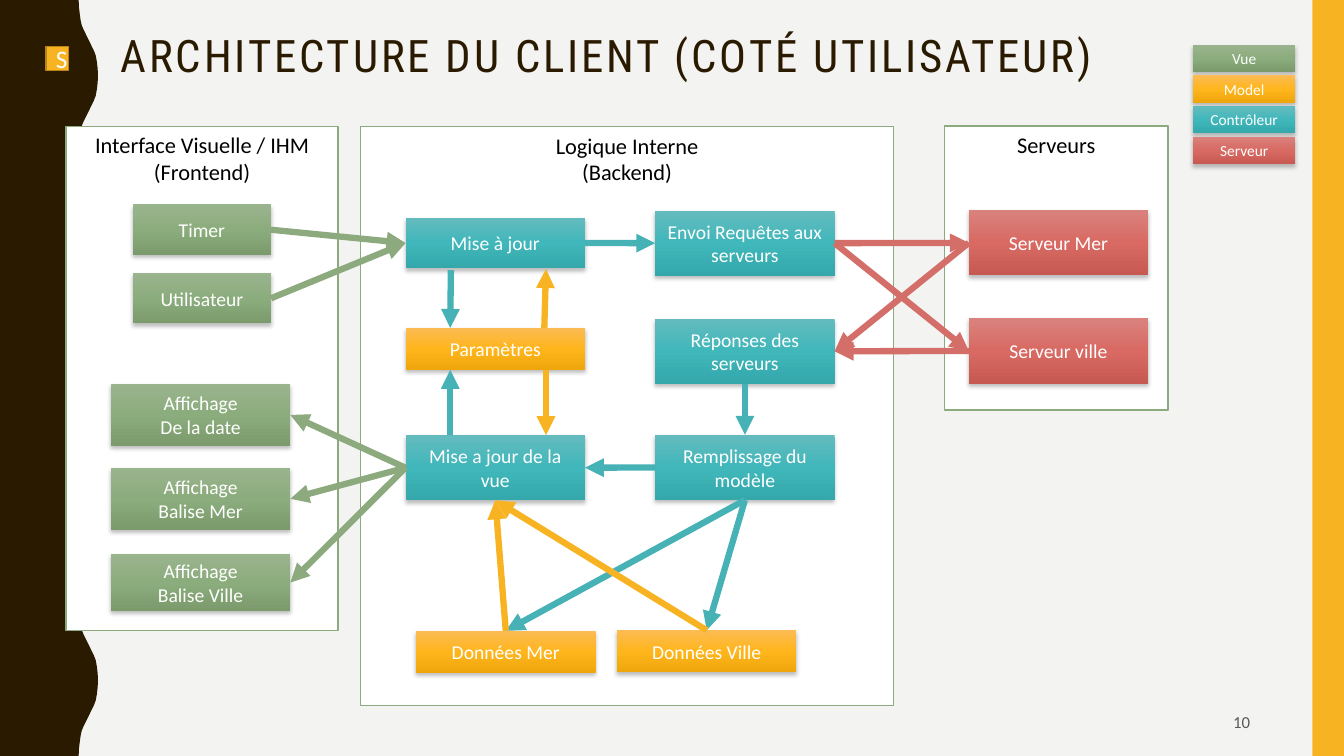
import copy
import pptx
import pptx.dml.color
import pptx.enum.dml
import pptx.enum.shapes
import pptx.enum.text
import pptx.util
from lxml import etree
from pptx.oxml.ns import qn

Pt = pptx.util.Pt
ALIGN = pptx.enum.text.PP_ALIGN
ANCHOR = pptx.enum.text.MSO_ANCHOR

COLORS = {
    "background": "F3F3F2", "dark": "2A1A00", "accent": "F8B323", "badge line": "B7841A",
    "white": "FFFFFF", "black": "000000", "grey": "595959",
    "view": "8CAA7E", "model": "F8B323", "controller": "46B2B5", "server": "D36F68",
}
GRADIENTS = {
    "view": ("9AB48E", "8BAC7C", "7B9B6C"),
    "model": ("FBBC54", "FFB51C", "EFA60C"),
    "controller": ("64BBBE", "40B7BB", "34A8AB"),
    "server": ("D9827D", "D86A63", "C65952"),
}
TITLE = "ARCHITECTURE DU CLIENT (COTÉ UTILISATEUR)"
PAGE_NUMBER = "10"
PANELS = [
    ("Serveurs", 674.6, 90, 159.8, 203),
    ("Logique Interne\n(Backend)", 257.6, 90.5, 380.6, 413.3),
    ("Interface Visuelle / IHM\n(Frontend)", 47.2, 90.3, 194.4, 360),
]
LEGEND = [("Vue", "view"), ("Model", "model"), ("Contrôleur", "controller"), ("Serveur", "server")]

WIDE, NARROW = 128.2, 98.6
BOXES = {
    "timer": ("Timer", "view", 95, 146.1, NARROW, 36),
    "user": ("Utilisateur", "view", 95, 195.1, NARROW, 36),
    "date": ("Affichage\nDe la date", "view", 79.2, 274.4, WIDE, 44),
    "sea view": ("Affichage\nBalise Mer", "view", 79.2, 334.3, WIDE, 44),
    "city view": ("Affichage\nBalise Ville", "view", 79.2, 395.9, WIDE, 40.5),
    "update": ("Mise à jour", "controller", 289.7, 155.6, WIDE, 36),
    "settings": ("Paramètres", "model", 289.7, 234.2, WIDE, 30),
    "view update": ("Mise a jour de la vue", "controller", 289.7, 310.8, WIDE, 46.6),
    "requests": ("Envoi Requêtes aux serveurs", "controller", 468, 150.4, WIDE, 46.6),
    "answers": ("Réponses des serveurs", "controller", 468, 227.6, WIDE, 46.6),
    "filling": ("Remplissage du modèle", "controller", 468, 310.6, WIDE, 46.6),
    "sea data": ("Données Mer", "model", 297.2, 450.6, WIDE, 30),
    "city data": ("Données Ville", "model", 440.7, 450.2, WIDE, 30),
    "sea server": ("Serveur Mer", "server", 692, 150.2, WIDE, 46.6),
    "city server": ("Serveur ville", "server", 692, 227.4, WIDE, 46.6),
}
TOP, LEFT, BOTTOM, RIGHT = range(4)
JOINED_ARROWS = [
    ("server", "requests", RIGHT, "sea server", LEFT),
    ("server", "requests", RIGHT, "city server", LEFT),
    ("server", "sea server", LEFT, "answers", RIGHT),
    ("server", "city server", LEFT, "answers", RIGHT),
    ("view", "timer", RIGHT, "update", LEFT),
    ("view", "user", RIGHT, "update", LEFT),
    ("controller", "update", RIGHT, "requests", LEFT),
    ("controller", "answers", BOTTOM, "filling", TOP),
    ("controller", "filling", BOTTOM, "sea data", TOP),
    ("controller", "filling", BOTTOM, "city data", TOP),
    ("controller", "filling", LEFT, "view update", RIGHT),
    ("view", "view update", LEFT, "sea view", RIGHT),
    ("view", "view update", LEFT, "city view", RIGHT),
    ("view", "view update", LEFT, "date", RIGHT),
    ("model", "sea data", TOP, "view update", BOTTOM),
    ("model", "city data", TOP, "view update", BOTTOM),
]
FREE_ARROWS = [
    ("controller", 322.1, 193, 321.6, 234.2),
    ("model", 388.8, 234.2, 390, 192.2),
    ("controller", 321.6, 310.8, 321.6, 264.2),
    ("model", 390, 264.2, 390, 310.8),
]
WAVE_HALF = [
    (56.2, 0), (56.4, 5), (57, 10), (57.6, 14.4), (58.4, 18), (59.6, 21), (61.1, 24), (62.6, 27),
    (64.1, 30), (65.5, 33), (67, 36), (68.4, 39.6), (69.2, 44), (69.8, 49), (70, 54),
]
WAVE_PERIOD, WAVE_COUNT = 108, 5


def rgb(name):
    return pptx.dml.color.RGBColor.from_string(COLORS.get(name, name))


def write(shape, text, size, color, align=ALIGN.CENTER, anchor=ANCHOR.MIDDLE, font="Calibri"):
    frame = shape.text_frame
    frame.word_wrap = True
    frame.vertical_anchor = anchor
    frame.text = text
    for para in frame.paragraphs:
        para.alignment = align
        para.font.size = Pt(size)
        para.font.name = font
        para.font.color.rgb = rgb(color)
    return frame.paragraphs[0]


def paint(shape, fill, line=None):
    shape.shadow.inherit = False
    shape.fill.solid()
    shape.fill.fore_color.rgb = rgb(fill)
    if line:
        shape.line.color.rgb = rgb(line)
        shape.line.width = Pt(1)
    else:
        shape.line.fill.background()


def add_rectangle(*place):
    return page.shapes.add_shape(pptx.enum.shapes.MSO_SHAPE.RECTANGLE, *map(Pt, place))


def add_box(text, kind, *place, size=14):
    box = add_rectangle(*place)
    paint(box, kind)
    box.fill.gradient()
    box.fill.gradient_angle = 270
    stop_list = box._element.spPr.find(".//" + qn("a:gsLst"))
    stop_list.insert(1, copy.deepcopy(stop_list[0]))
    for stop, position, color in zip(box.fill.gradient_stops, (0, 0.5, 1), GRADIENTS[kind]):
        stop.position = position
        stop.color.rgb = rgb(color)
    effects = box._element.spPr.find(qn("a:effectLst"))
    shadow = etree.SubElement(effects, qn("a:outerShdw"), blurRad=str(Pt(3)), dist=str(Pt(2)),
                              dir="5400000", algn="ctr", rotWithShape="0")
    tone = etree.SubElement(shadow, qn("a:srgbClr"), val=COLORS["black"])
    etree.SubElement(tone, qn("a:alpha"), val="25000")
    write(box, text, size, "white")
    return box


def add_arrow(kind, *ends):
    arrow = page.shapes.add_connector(pptx.enum.shapes.MSO_CONNECTOR.STRAIGHT, *map(Pt, ends))
    arrow.line.color.rgb = rgb(kind)
    arrow.line.width = Pt(4.5)
    etree.SubElement(arrow.line._get_or_add_ln(), qn("a:tailEnd"), type="triangle")
    etree.SubElement(arrow._element.spPr, qn("a:effectLst"))
    return arrow


deck = pptx.Presentation()
deck.slide_width, deck.slide_height = Pt(960), Pt(540)
page = deck.slides.add_slide(deck.slide_layouts[6])
page.background.fill.solid()
page.background.fill.fore_color.rgb = rgb("background")

wave = WAVE_HALF + [(x, WAVE_PERIOD - y) for x, y in WAVE_HALF[-2::-1]]
edge = [(x, y + WAVE_PERIOD * turn) for turn in range(WAVE_COUNT) for x, y in wave]
builder = page.shapes.build_freeform(0, 0, scale=1)
builder.add_line_segments([(Pt(x), Pt(y)) for x, y in edge + [(0, 540)]], close=True)
paint(builder.convert_to_shape(), "dark")
paint(add_rectangle(937.5, 0, 22.5, 540), "accent")

for text, *place in PANELS:
    panel = add_rectangle(*place)
    paint(panel, "white", "view")
    write(panel, text, 16, "black", anchor=ANCHOR.TOP)

title = page.shapes.add_textbox(*map(Pt, (79.2, 20.9, 792, 41)))
heading = write(title, TITLE, 32, "dark", ALIGN.LEFT, font="Roboto Condensed")
heading.line_spacing = 0.9
heading.runs[0].font._element.set("spc", "200")

boxes = {name: add_box(*content) for name, content in BOXES.items()}
for row, (text, kind) in enumerate(LEGEND):
    add_box(text, kind, 852.2, 31.9 + 22 * row, 73, 19.4, size=11)

for kind, source, source_side, target, target_side in JOINED_ARROWS:
    arrow = add_arrow(kind, 0, 0, 0, 0)
    arrow.begin_connect(boxes[source], source_side)
    arrow.end_connect(boxes[target], target_side)
for content in FREE_ARROWS:
    add_arrow(*content)

badge = add_rectangle(32.8, 33.1, 16.2, 17.3)
paint(badge, "accent", "badge line")
write(badge, "S", 18, "white")
number = page.shapes.add_textbox(*map(Pt, (678.2, 501.8, 221.8, 27.4)))
write(number, PAGE_NUMBER, 12, "grey", ALIGN.RIGHT)

deck.save("out.pptx")
